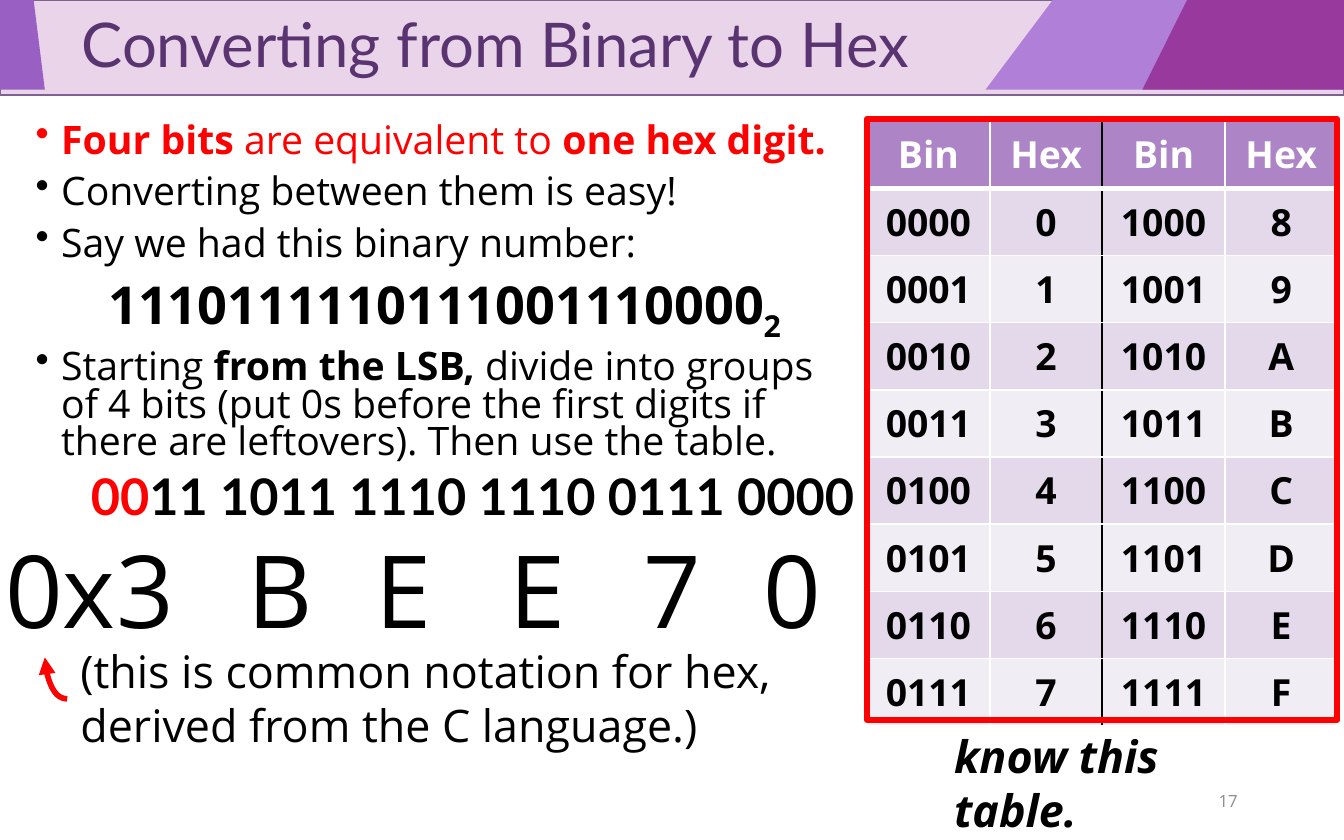
from lxml import etree
from pptx import Presentation
from pptx import util as u
from pptx.dml.color import RGBColor
from pptx.enum import shapes, text
from pptx.oxml import parse_xml
from pptx.oxml.ns import nsdecls, qn

# The grid has 120 columns and 75 rows, twelve to the inch.
COLUMNS, ROWS = 120, 75
UNIT = u.Inches(1) // 12
BAND = 8.5
TEXT_FONT, TITLE_FONT = "Open Sans", "Lato"
COLORS = {
    "black": "000000", "white": "FFFFFF", "red": "FF0000", "gray": "8C8C8C",
    "title": "5A3471", "band": "E9D4E9", "band_line": "806292",
    "lilac": "B07FD8", "violet": "995FC2", "plum": "98399D",
    "header": "AD84C6", "row_dark": "E3D9EA", "row_light": "F1EDF5",
}


def grid(*values):
    return [round(value * UNIT) for value in values]


def rgb(name):
    return RGBColor.from_string(COLORS[name])


def add_run(paragraph, words, size, color="black", bold=False, italic=False,
            font=TEXT_FONT, baseline=None):
    run = paragraph.add_run()
    run.text = words
    run.font.name, run.font.size = font, u.Pt(size)
    run.font.bold, run.font.italic = bold, italic
    run.font.color.rgb = rgb(color)
    if baseline is not None:
        run.font._element.set("baseline", str(baseline))


def add_text_box(slide, box, anchor=text.MSO_ANCHOR.TOP):
    frame = slide.shapes.add_textbox(*grid(*box)).text_frame
    frame.word_wrap = True
    frame.vertical_anchor = anchor
    return frame


def add_label(slide, box, words, size, align=text.PP_ALIGN.LEFT, **style):
    frame = add_text_box(slide, box, style.pop("anchor", text.MSO_ANCHOR.TOP))
    paragraph = frame.paragraphs[0]
    paragraph.alignment = align
    add_run(paragraph, words, size, **style)
    return frame


def set_indent(paragraph, left, first=0, bullet=None):
    properties = paragraph._p.get_or_add_pPr()
    properties.set("marL", str(u.Inches(left)))
    properties.set("indent", str(u.Inches(first)))
    if bullet:
        etree.SubElement(properties, qn("a:buChar")).set("char", bullet)


def add_rectangle(slide, box, fill, line, width):
    shape = slide.shapes.add_shape(shapes.MSO_SHAPE.RECTANGLE, *grid(*box))
    shape.shadow.inherit = False
    if fill:
        shape.fill.solid()
        shape.fill.fore_color.rgb = rgb(fill)
    else:
        shape.fill.background()
    shape.line.color.rgb = rgb(line)
    shape.line.width = u.Pt(width)


def add_band_piece(slide, left_top, right_top, right_bottom, left_bottom, color):
    """Fill a four-sided piece that spans the height of the title band."""
    builder = slide.shapes.build_freeform(left_top, 0, scale=UNIT)
    builder.add_line_segments(
        [(right_top, 0), (right_bottom, BAND), (left_bottom, BAND)], close=True)
    shape = builder.convert_to_shape()
    shape.shadow.inherit = False
    shape.fill.solid()
    shape.fill.fore_color.rgb = rgb(color)
    shape.line.fill.background()


def add_title_band(slide):
    add_rectangle(slide, (0, 0, COLUMNS, BAND), "band", "band_line", 1)
    add_band_piece(slide, 94.4, COLUMNS, COLUMNS, 88, "lilac")
    add_band_piece(slide, 0.1, 3.25, 4.4, 0.1, "violet")
    add_band_piece(slide, 106.3, COLUMNS, COLUMNS, 102.1, "plum")
    frame = add_label(slide, (0.1, 0, COLUMNS, BAND), "Converting from Binary to Hex", 33,
                      color="title", font=TITLE_FONT, anchor=text.MSO_ANCHOR.MIDDLE)
    paragraph = frame.paragraphs[0]
    paragraph.line_spacing = 0.9
    set_indent(paragraph, 0.5)


def add_explanation(slide):
    bold, red = {"bold": True}, {"color": "red"}
    center, right = text.PP_ALIGN.CENTER, text.PP_ALIGN.RIGHT
    groups = {"bold": True, "font": TITLE_FONT}
    # Each paragraph: alignment (None for a bullet), text size, runs.
    paragraphs = [
        (None, 21, [("Four bits", bold | red), (" are equivalent to ", red),
                    ("one hex digit.", bold | red)]),
        (None, 21, [("Converting between them is easy!", {})]),
        (None, 21, [("Say we had this binary number:", {})]),
        (center, 28, [("1110111110111001110000", bold), ("2", bold | {"baseline": -25000})]),
        (None, 21, [("Starting ", {}), ("from the LSB, ", bold),
                    ("divide into groups of 4 bits (put 0s before the first digits "
                     "if there are leftovers). Then use the table.", {})]),
        (right, 27, [("00", groups | red), ("11 1011 1110 1110 0111 0000", groups)]),
    ]
    frame = add_text_box(slide, (2, 10.5, 75.4, 40))
    for index, (align, size, runs) in enumerate(paragraphs):
        paragraph = frame.add_paragraph() if index else frame.paragraphs[0]
        paragraph.line_spacing = 0.8
        paragraph.space_before = u.Pt(7.5)
        if align is None:
            set_indent(paragraph, 0.19, -0.19, "•")
        else:
            paragraph.alignment = align
        for words, style in runs:
            add_run(paragraph, words, size, **style)


def set_borders(cell, **sides):
    """Set cell borders, each given as side=(color, points), in the order L, R, T, B."""
    properties = cell._tc.get_or_add_tcPr()
    for index, (side, (color, points)) in enumerate(sides.items()):
        properties.insert(index, parse_xml(
            f'<a:ln{side} {nsdecls("a")} w="{u.Pt(points)}"><a:solidFill>'
            f'<a:srgbClr val="{COLORS[color]}"/></a:solidFill></a:ln{side}>'))


def add_hex_table(slide):
    rows = [["Bin", "Hex"] * 2]
    rows += [[f"{low:04b}", f"{low:X}", f"{low + 8:04b}", f"{low + 8:X}"] for low in range(8)]
    table = slide.shapes.add_table(len(rows), 4, *grid(77.4, 10.8, 42, 54)).table
    for column, width in zip(table.columns, grid(11, 10, 11, 10)):
        column.width = width
    for y, row in enumerate(rows):
        table.rows[y].height = grid(6)[0]
        fill = ("row_dark" if y % 2 else "row_light") if y else "header"
        for x, words in enumerate(row):
            cell = table.cell(y, x)
            cell.margin_left = cell.margin_right = u.Inches(0.12)
            cell.margin_top = cell.margin_bottom = u.Inches(0.06)
            cell.fill.solid()
            cell.fill.fore_color.rgb = rgb(fill)
            paragraph = cell.text_frame.paragraphs[0]
            paragraph.alignment = text.PP_ALIGN.CENTER
            add_run(paragraph, words, 20, "black" if y else "white", bold=True)
            set_borders(cell,
                        L=("black" if x == 2 else "white", 1),
                        R=("black" if x == 1 else "white", 1),
                        T=("white", 1 if y != 1 else 3),
                        B=("white", 1 if y else 3))


def add_hex_digits(slide):
    for digit, left in zip("3BEE70", (8, 20, 31, 43, 55, 65.75)):
        add_label(slide, (left, 46.5, 10, 12.1), digit, 54, text.PP_ALIGN.CENTER)
    add_label(slide, (-1.2, 46.5, 13.2, 12.1), "0x", 54, text.PP_ALIGN.CENTER)


def add_curved_arrow(slide, start, end):
    connector = slide.shapes.add_connector(
        shapes.MSO_CONNECTOR.CURVE, *grid(*start, *end))
    connector.line.color.rgb = rgb("red")
    connector.line.width = u.Pt(3)
    properties = connector._element.spPr
    properties.find(qn("a:prstGeom")).set("prst", "curvedConnector2")
    line = connector.line._get_or_add_ln()
    etree.SubElement(line, qn("a:tailEnd")).set("type", "triangle")
    etree.SubElement(properties, qn("a:effectLst"))


def main():
    presentation = Presentation()
    presentation.slide_width, presentation.slide_height = grid(COLUMNS, ROWS)
    slide = presentation.slides.add_slide(presentation.slide_layouts[6])
    add_title_band(slide)
    add_label(slide, (84.7, 69.5, 27, 4), "17", 9, text.PP_ALIGN.RIGHT,
              color="gray", anchor=text.MSO_ANCHOR.MIDDLE)
    add_explanation(slide)
    add_hex_table(slide)
    add_hex_digits(slide)
    add_label(slide, (6, 56.9, 69, 10.9),
              "(this is common notation for hex, derived from the C language.)", 24)
    add_curved_arrow(slide, (6, 62.4), (4, 58.7))
    add_rectangle(slide, (77.4, 10.6, 42, 53.7), None, "red", 3)
    reminder = add_label(slide, (84, 64.5, 32.5, 6), "know this table.", 24,
                         bold=True, italic=True)
    reminder.margin_right = u.Inches(0.3)
    presentation.save("out.pptx")


if __name__ == "__main__":
    main()
